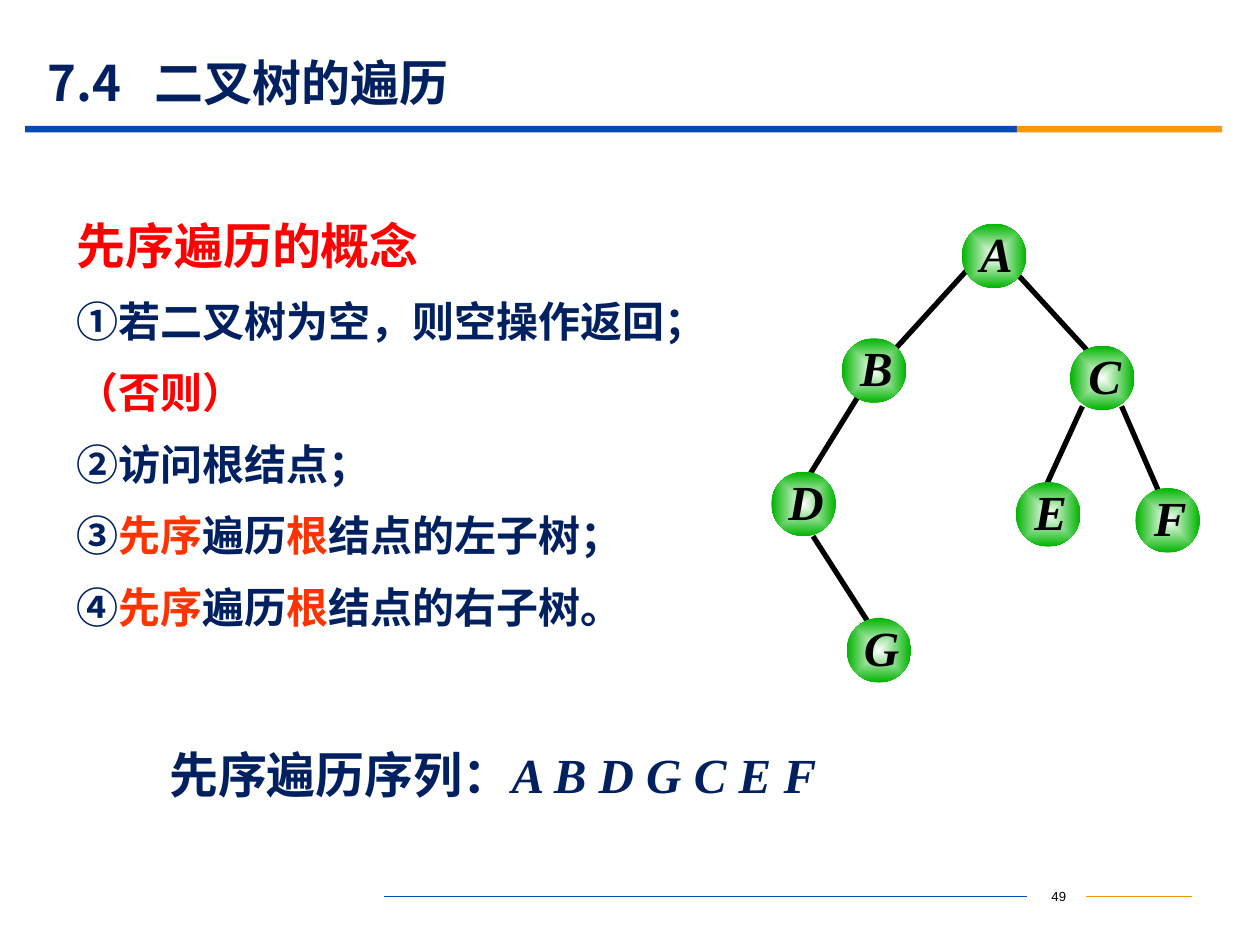
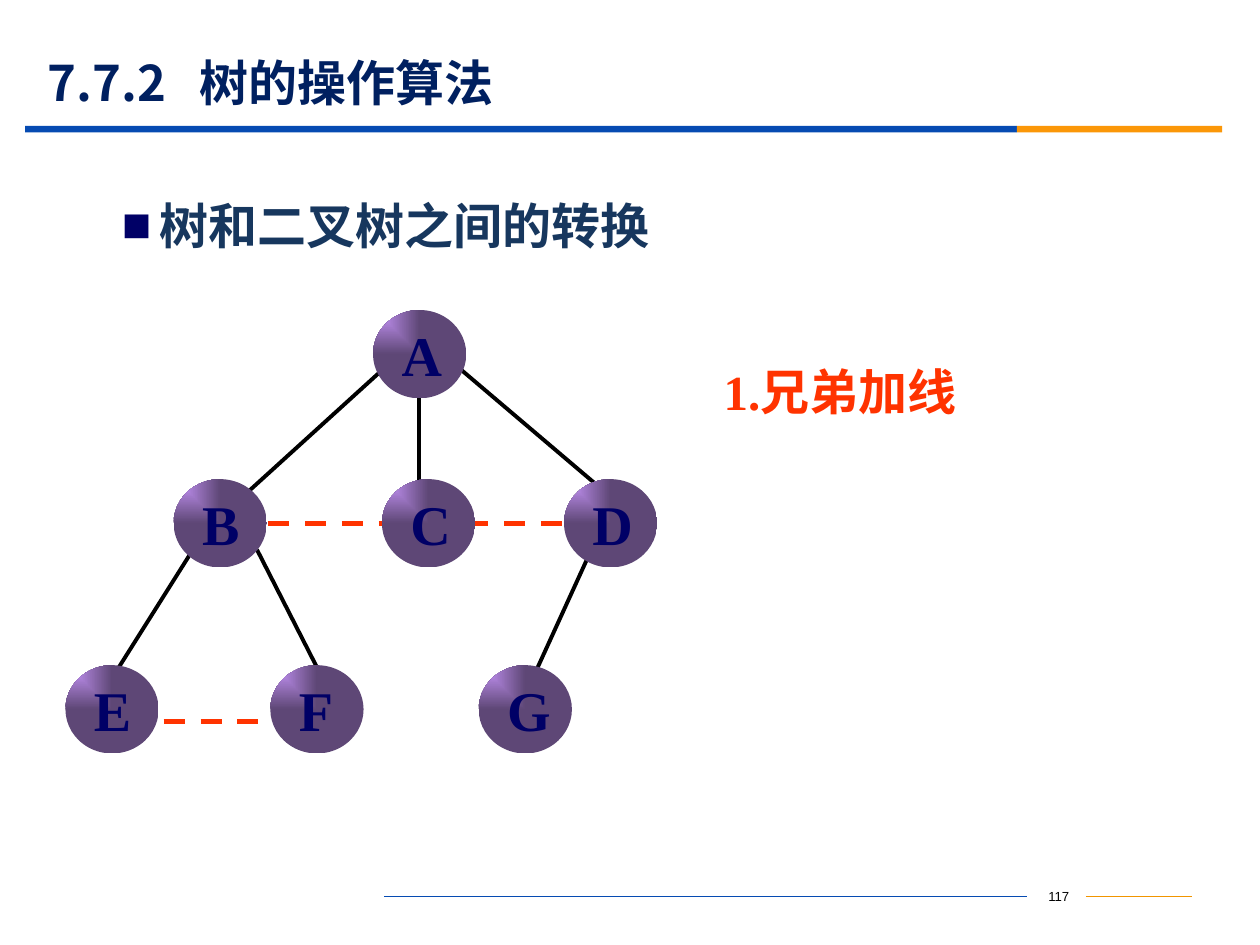
from dataclasses import dataclass

from pptx import Presentation
from pptx.dml.color import RGBColor
from pptx.enum.dml import MSO_LINE
from pptx.enum.shapes import MSO_CONNECTOR, MSO_SHAPE
from pptx.enum.text import MSO_ANCHOR, PP_ALIGN
from pptx.oxml import parse_xml
from pptx.oxml.ns import nsdecls, qn
from pptx.util import Cm, Pt

STRAIGHT = MSO_CONNECTOR.STRAIGHT
RECTANGLE, OVAL = MSO_SHAPE.RECTANGLE, MSO_SHAPE.OVAL
TOP, MIDDLE = MSO_ANCHOR.TOP, MSO_ANCHOR.MIDDLE
LEFT, CENTER, JUSTIFY = PP_ALIGN.LEFT, PP_ALIGN.CENTER, PP_ALIGN.JUSTIFY
DASH = MSO_LINE.DASH

HEADING_FONT, BODY_FONT, NUMBER_FONT = "Noto Sans CJK SC", "Times New Roman", "Arial"
NAVY, RED, VERMILION, BLACK = "002060", "FF0000", "FF3300", "000000"
BLUE, ORANGE, FOOTER_ORANGE = "064BB2", "FB9708", "F19500"
SLATE, INDIGO = "17375E", "000066"


@dataclass
class NodeStyle:
    width: float
    height: float
    inner: str
    outer: str
    gradient: str
    focus: str
    size: int
    color: str
    italic: bool
    align: PP_ALIGN
    anchor: MSO_ANCHOR
    margins: tuple
    line_spacing: float
    edge_width: float


GREEN_NODE = NodeStyle(1.3, 1.3, "FFFFFF", "00B400", "shape",
                       'l="50000" t="50000" r="50000" b="50000"',
                       28, BLACK, True, CENTER, MIDDLE, (0.1, 0, 0, 0.14), 1.0, 3)
PURPLE_NODE = NodeStyle(1.88, 1.78, "CC99FF", "5E4776", "rect",
                        'r="100000" b="100000"',
                        32, INDIGO, False, LEFT, TOP, (0.3, 0.1, 0.1, 0), 0.9, 2.25)


def rgb(value):
    return RGBColor.from_string(value)


def add_run(paragraph, text, size, color, bold=True, italic=False, font=BODY_FONT):
    run = paragraph.add_run()
    run.text = text
    run.font.size = Pt(size)
    run.font.bold = bold
    run.font.italic = italic
    run.font.name = font
    run.font.color.rgb = rgb(color)
    east_asian = parse_xml(f'<a:ea {nsdecls("a")} typeface="{HEADING_FONT}"/>')
    run.font._element.find(qn("a:latin")).addnext(east_asian)


def set_margins(frame, left, top, right, bottom):
    frame.margin_left, frame.margin_top = Cm(left), Cm(top)
    frame.margin_right, frame.margin_bottom = Cm(right), Cm(bottom)


def add_text_box(slide, box, paragraphs, margin_left=0.25, align=JUSTIFY, anchor=TOP):
    frame = slide.shapes.add_textbox(*map(Cm, box)).text_frame
    frame.word_wrap = True
    frame.vertical_anchor = anchor
    set_margins(frame, margin_left, 0.13, 0, 0.13)
    for index, runs in enumerate(paragraphs):
        paragraph = frame.add_paragraph() if index else frame.paragraphs[0]
        paragraph.alignment = align
        paragraph.space_before = Pt(12 if index else 0)
        for run in runs:
            add_run(paragraph, **run)
    return frame


def add_line(slide, start, end, color, width, dash=None):
    line = slide.shapes.add_connector(STRAIGHT, *map(Cm, (*start, *end)))
    line.line.color.rgb = rgb(color)
    line.line.width = Pt(width)
    if dash is not None:
        line.line.dash_style = dash
    line._element.spPr.append(parse_xml(f'<a:effectLst {nsdecls("a")}/>'))


def add_shape(slide, kind, box, color=None):
    shape = slide.shapes.add_shape(kind, *map(Cm, box))
    shape.shadow.inherit = False
    if color:
        shape.fill.solid()
        shape.fill.fore_color.rgb = rgb(color)
    else:
        shape.fill.background()
    shape.line.fill.background()
    return shape


def add_title(slide, number, heading, heading_offset):
    title = slide.shapes.title
    title.left, title.top, title.width, title.height = map(Cm, (0.71, 1.11, 22.86, 1.09))
    frame = title.text_frame
    frame.vertical_anchor = MIDDLE
    frame.word_wrap = True
    set_margins(frame, 0.25, 0, 0.25, 0)
    paragraph = frame.paragraphs[0]
    paragraph.alignment = LEFT
    paragraph._p.get_or_add_pPr().append(parse_xml(
        f'<a:tabLst {nsdecls("a")}><a:tab pos="{Cm(heading_offset)}" algn="l"/></a:tabLst>'))
    add_run(paragraph, f"{number}\t{heading}", 28, NAVY, font=HEADING_FONT)


def add_footer(slide, page, left=7.75, top=18.08):
    add_line(slide, (left, top), (left + 12.95, top), BLUE, 0.75)
    add_line(slide, (left + 14.14, top), (left + 16.27, top), FOOTER_ORANGE, 0.75)
    add_text_box(slide, (left + 12.97, top - 0.34, 1.25, 0.64),
                 [[dict(text=page, size=7.5, color=BLACK, bold=False, font=NUMBER_FONT)]],
                 margin_left=0, align=CENTER, anchor=MIDDLE)


def new_slide(presentation, number, heading, heading_offset, page):
    slide = presentation.slides.add_slide(presentation.slide_layouts[5])
    add_shape(slide, RECTANGLE, (0.51, 2.54, 19.99, 0.13), BLUE)
    add_shape(slide, RECTANGLE, (20.5, 2.54, 4.14, 0.13), ORANGE)
    add_title(slide, number, heading, heading_offset)
    add_footer(slide, page)
    return slide


def add_node(slide, left, top, letter, style):
    node = add_shape(slide, OVAL, (left, top, style.width, style.height))
    properties = node._element.spPr
    gradient = parse_xml(
        f'<a:gradFill {nsdecls("a")} rotWithShape="1"><a:gsLst>'
        f'<a:gs pos="0"><a:srgbClr val="{style.inner}"/></a:gs>'
        f'<a:gs pos="100000"><a:srgbClr val="{style.outer}"/></a:gs></a:gsLst>'
        f'<a:path path="{style.gradient}"><a:fillToRect {style.focus}/></a:path></a:gradFill>')
    properties.replace(properties.find(qn("a:noFill")), gradient)
    frame = node.text_frame
    frame.word_wrap = True
    frame.vertical_anchor = style.anchor
    set_margins(frame, *style.margins)
    paragraph = frame.paragraphs[0]
    paragraph.alignment = style.align
    paragraph.line_spacing = style.line_spacing
    add_run(paragraph, letter, style.size, style.color, italic=style.italic)


def add_tree(slide, left, top, nodes, edges, sibling_links, style):
    def add_links(links, color, width, dash=None):
        for x1, y1, x2, y2 in links:
            add_line(slide, (left + x1, top + y1), (left + x2, top + y2), color, width, dash)

    add_links(sibling_links, VERMILION, 3, DASH)
    add_links(edges, BLACK, style.edge_width)
    for letter, (x, y) in nodes.items():
        add_node(slide, left + x, top + y, letter, style)


def add_concept(slide, box):
    def step(text, color=NAVY):
        return dict(text=text, size=24, color=color)

    def visit_subtree(mark, side, ending):
        return [step(mark), step("先序", VERMILION), step("遍历"),
                step("根", VERMILION), step(f"结点的{side}子树{ending}")]

    add_text_box(slide, box, [
        [dict(text="先序遍历的概念", size=28, color=RED)],
        [step("①若二叉树为空，则空操作返回；")],
        [step("（否则）", RED)],
        [step("②访问根结点；")],
        visit_subtree("③", "左", "；"),
        visit_subtree("④", "右", "。"),
    ], margin_left=0)


def build_traversal_slide(presentation):
    slide = new_slide(presentation, "7.4", "二叉树的遍历", 2.16, "49")
    add_concept(slide, (1.54, 4.22, 13.89, 9.14))
    add_text_box(slide, (3.16, 14.88, 14.22, 1.45), [[
        dict(text="先序遍历序列：", size=28, color=NAVY),
        dict(text="A B D G C E F", size=28, color=NAVY, italic=True)]])
    nodes = {"A": (3.84, 0), "B": (1.42, 2.31), "C": (6.02, 2.46), "D": (0, 5),
             "E": (4.93, 5.21), "F": (7.34, 5.33), "G": (1.52, 7.95)}
    edges = [(3.94, 0.94, 2.51, 2.51), (4.98, 1.04, 6.4, 2.59), (1.75, 3.48, 0.79, 5.03),
             (0.84, 6.3, 1.93, 8), (6.27, 3.68, 5.56, 5.23), (7.06, 3.68, 7.8, 5.38)]
    add_tree(slide, 15.55, 4.51, nodes, edges, [], GREEN_NODE)


def add_bullet_heading(slide, box, text):
    frame = add_text_box(slide, box, [[]], align=LEFT)
    paragraph = frame.paragraphs[0]
    properties = paragraph._p.get_or_add_pPr()
    properties.set("marL", str(Cm(0.76)))
    properties.set("indent", str(-Cm(0.76)))
    for xml in (f'<a:buClr {nsdecls("a")}><a:srgbClr val="{INDIGO}"/></a:buClr>',
                f'<a:buFont {nsdecls("a")} typeface="{BODY_FONT}"/>',
                f'<a:buChar {nsdecls("a")} char="■"/>'):
        properties.append(parse_xml(xml))
    add_run(paragraph, text, 28, SLATE)


def build_conversion_slide(presentation):
    slide = new_slide(presentation, "7.7.2", "树的操作算法", 3.06, "117")
    add_bullet_heading(slide, (2.21, 3.81, 21.59, 1.5), "树和二叉树之间的转换")
    add_text_box(slide, (13.84, 7.16, 6.99, 1.45),
                 [[dict(text="1.兄弟加线", size=28, color=VERMILION)]], margin_left=0.75)
    child_row, leaf_row, sibling_row = 3.41, 7.16, 4.3
    nodes = {"A": (6.2, 0), "B": (2.18, child_row), "C": (6.38, child_row),
             "D": (10.05, child_row), "E": (0, leaf_row), "F": (4.13, leaf_row),
             "G": (8.33, leaf_row)}
    edges = [(6.35, 1.24, 3.63, 3.71), (2.57, 4.83, 1.07, 7.21), (3.86, 4.83, 5.18, 7.42),
             (7.9, 1.14, 10.75, 3.56), (10.57, 4.9, 9.42, 7.42), (7.13, 1.55, 7.13, 3.43)]
    sibling_links = [(4.09, sibling_row, 6.43, sibling_row),
                     (8.1, sibling_row, 10.24, sibling_row), (1.98, 8.29, 4.72, 8.29)]
    add_tree(slide, 1.32, 6.25, nodes, edges, sibling_links, PURPLE_NODE)


def main():
    presentation = Presentation()
    presentation.slide_width, presentation.slide_height = Cm(25.4), Cm(19.05)
    build_traversal_slide(presentation)
    build_conversion_slide(presentation)
    presentation.save("out.pptx")


if __name__ == "__main__":
    main()
